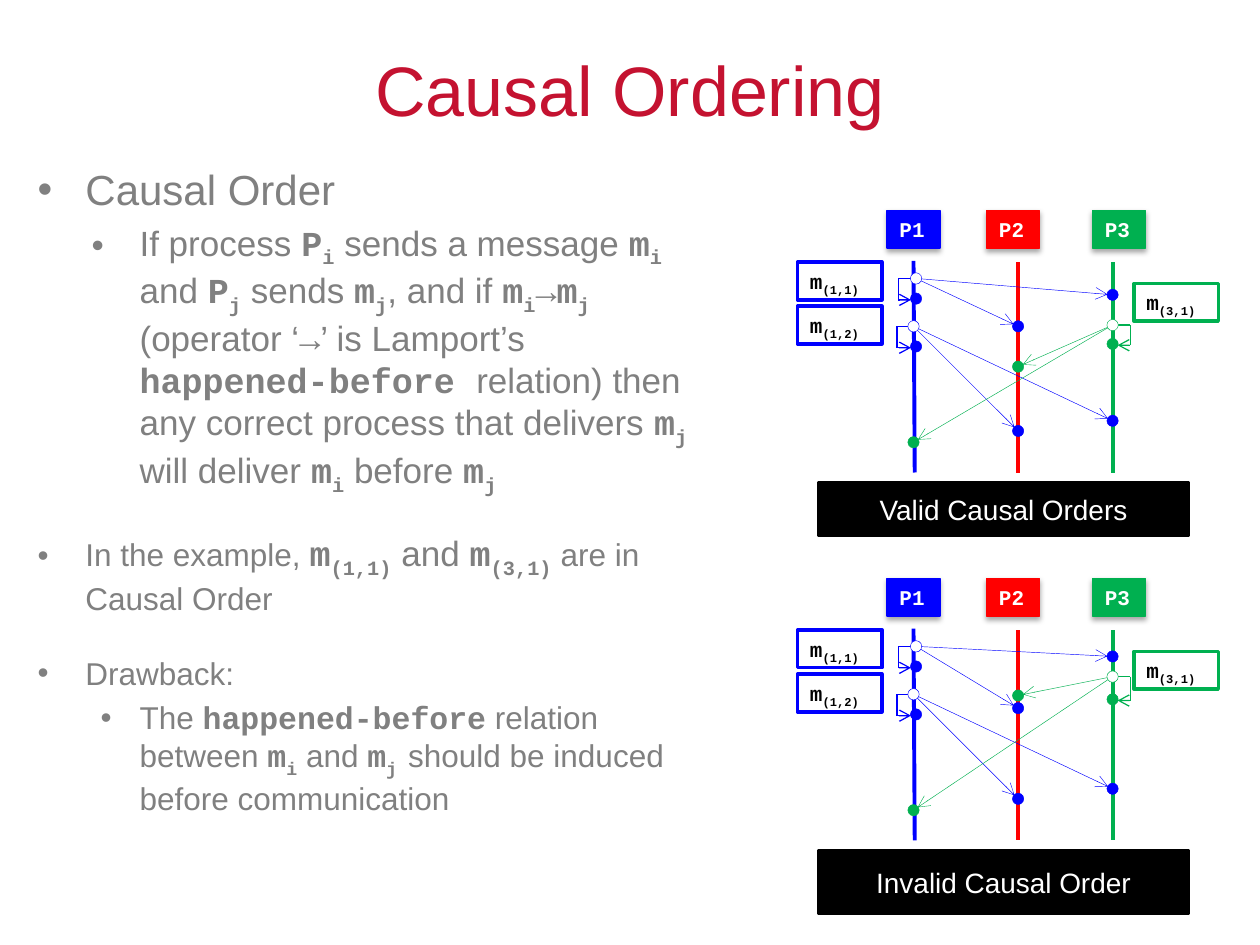
from dataclasses import dataclass
from math import hypot

from lxml.etree import SubElement
from pptx import Presentation
from pptx.dml.color import RGBColor
from pptx.enum.shapes import MSO_CONNECTOR, MSO_SHAPE
from pptx.enum.text import MSO_ANCHOR, PP_ALIGN
from pptx.oxml.ns import qn
from pptx.util import Inches, Pt

Point = tuple[float, float]


@dataclass(frozen=True)
class Theme:
    """Colours, fonts and type sizes of the slide."""
    title: str = "C41230"
    body: str = "808080"
    blue: str = "0000FF"
    red: str = "FF0000"
    green: str = "00B050"
    black: str = "000000"
    white: str = "FFFFFF"
    sans: str = "Arial"
    mono: str = "Courier New"
    title_size: int = 40
    heading_size: int = 24
    detail_size: int = 20
    text_size: int = 18
    caption_size: int = 16
    label_size: int = 12


THEME = Theme()


@dataclass(frozen=True)
class Bullet:
    """One bulleted paragraph made of sized, marked-up phrases."""
    phrases: tuple[tuple[str, int], ...]
    margin: float
    hanging: float = 0.38
    before: int = 4


@dataclass(frozen=True)
class Process:
    """A process with its header box and timeline."""
    name: str
    colour: str
    left: float
    top: Point
    bottom: Point


@dataclass(frozen=True)
class Message:
    """A message multicast to other processes and to its sender."""
    label: str
    label_at: Point
    colour: str
    send: Point
    own: Point
    loop_x: float
    targets: tuple[Point, ...]


@dataclass(frozen=True)
class Diagram:
    """A captioned set of messages shifted down the slide."""
    caption: str
    caption_height: float
    shift: float
    messages: tuple[Message, ...]


BULLETS = (
    Bullet((("Causal Order", THEME.heading_size),), 0.38),
    Bullet((("If process `P_i_` sends a message `m_i_` and `P_j_` sends `m_j_`, and if `m_i_→m_j _`"
             "(operator ‘`→`’ is Lamport’s `happened-before `relation) then any correct process that "
             "delivers `m_j_` will deliver `m_i_` before `m_j_`", THEME.detail_size),), 0.81),
    Bullet((("In the example, ", THEME.text_size), ("`m_(1,1)_` and `m_(3,1)_`", THEME.detail_size),
            (" are in Causal Order", THEME.text_size)), 0.38, before=20),
    Bullet((("Drawback:", THEME.text_size),), 0.38, before=21),
    Bullet((("The `happened-before` relation between `m_i_` and `m_j _`should be induced "
             "before communication", THEME.text_size),), 0.81, 0.31),
)
PROCESSES = (
    Process("P1", THEME.blue, 7.04, (7.25, 2.07), (7.26, 3.75)),
    Process("P2", THEME.red, 7.83, (8.08, 2.08), (8.08, 3.75)),
    Process("P3", THEME.green, 8.67, (8.83, 2.08), (8.83, 3.75)),
)


def messages(first_p2: float, first_p3: float, reply: float, reply_own: float,
             reply_p2: float) -> tuple[Message, ...]:
    """Return the three messages for the heights that vary."""
    return (
        Message("m_(1,1)_", (6.33, 2.08), THEME.blue, (7.27, 2.21), (7.27, 2.37), 7.13,
                ((8.08, first_p2), (8.83, first_p3))),
        Message("m_(1,2)_", (6.33, 2.43), THEME.blue, (7.25, 2.59), (7.27, 2.75), 7.12,
                ((8.08, 3.42), (8.83, 3.34))),
        Message("m_(3,1)_", (9, 2.25), THEME.green, (8.83, reply), (8.83, reply_own), 8.97,
                ((8.08, reply_p2), (7.25, 3.51))),
    )


DIAGRAMS = (
    Diagram("Valid Causal Orders", 0.42, 0, messages(2.59, 2.34, 2.58, 2.73, 2.91)),
    Diagram("Invalid Causal Order", 0.5, 2.92, messages(2.7, 2.29, 2.45, 2.63, 2.6)),
)


def add_span(para, text: str, size: int, colour: str, font: str, bold: bool, sub: bool) -> None:
    """Append one formatted run."""
    span = para.add_run()
    span.text = text
    for name, value in {"size": Pt(size), "name": font, "bold": bold}.items():
        setattr(span.font, name, value)
    span.font.color.rgb = RGBColor.from_string(colour)
    if sub:
        span.font._element.set("baseline", "-25000")


def write(para, text: str, size: int, colour: str, code: bool = False) -> None:
    """Write text where backticks toggle code and underscores toggle subscript."""
    for index, piece in enumerate(text.split("`")):
        mono = code or index % 2 == 1
        for level, fragment in enumerate(piece.split("_")):
            if fragment:
                add_span(para, fragment, size, colour, THEME.mono if mono else THEME.sans, mono,
                         level % 2 == 1)


def add_box(page, kind, at: tuple[float, ...], fill: str, line: str, weight: float):
    """Add a filled preset shape without shadow."""
    box = page.shapes.add_shape(kind, *map(Inches, at))
    box.shadow.inherit = False
    box.fill.solid()
    box.fill.fore_color.rgb = RGBColor.from_string(fill)
    box.line.color.rgb = RGBColor.from_string(line)
    box.line.width = Pt(weight)
    return box


def add_label(page, at: tuple[float, ...], text: str, fill: str, line: str, weight: float, colour: str,
              size: int = THEME.label_size, centred: bool = False):
    """Add a rectangle with one line of text."""
    box = add_box(page, MSO_SHAPE.RECTANGLE, at, fill, line, weight)
    box.text_frame.word_wrap = True
    box.text_frame.vertical_anchor = MSO_ANCHOR.MIDDLE if centred else MSO_ANCHOR.TOP
    para = box.text_frame.paragraphs[0]
    para.alignment = PP_ALIGN.CENTER if centred else PP_ALIGN.LEFT
    write(para, text, size, colour, code=not centred)
    return box


def add_shadow(box) -> None:
    """Give a box a soft shadow below it."""
    effects = box._element.spPr.find(qn("a:effectLst"))
    shadow = SubElement(effects, qn("a:outerShdw"), blurRad=str(Pt(3.1)), dist=str(Pt(1.8)),
                        dir="5400000", rotWithShape="0")
    tint = SubElement(shadow, qn("a:srgbClr"), val=THEME.black)
    SubElement(tint, qn("a:alpha"), val="35000")


def add_line(page, start: Point, end: Point, colour: str, weight: float, arrow: bool = False) -> None:
    """Add a straight line, optionally with an arrowhead at its end."""
    line = page.shapes.add_connector(MSO_CONNECTOR.STRAIGHT, *map(Inches, (*start, *end)))
    line.line.color.rgb = RGBColor.from_string(colour)
    line.line.width = Pt(weight)
    if arrow:
        SubElement(line.line._get_or_add_ln(), qn("a:tailEnd"), type="arrow")
    SubElement(line._element.spPr, qn("a:effectLst"))


def add_dot(page, centre: Point, fill: str, line: str, size: float = 0.09) -> None:
    """Add an event dot around its centre."""
    x, y = centre
    add_box(page, MSO_SHAPE.OVAL, (x - size / 2, y - size / 2, size, size), fill, line, 0.25)


def draw_message(page, message: Message, shift: float) -> None:
    """Draw a message label, its events and its arrows."""
    def lower(point: Point) -> Point:
        return point[0], point[1] + shift

    colour, gap = message.colour, 0.04
    send, own = lower(message.send), lower(message.own)
    add_label(page, (*lower(message.label_at), 0.67, 0.3), message.label, THEME.white, colour, 2, THEME.black)
    for target in map(lower, message.targets):
        across, down = target[0] - send[0], target[1] - send[1]
        step_x, step_y = (gap * side / hypot(across, down) for side in (across, down))
        add_line(page, (send[0] + step_x, send[1] + step_y), (target[0] - step_x, target[1] - step_y),
                 colour, 0.25, True)
        add_dot(page, target, colour, colour)
    side = gap if message.loop_x > send[0] else -gap
    corners = ((send[0] + side, send[1]), (message.loop_x, send[1]),
               (message.loop_x, own[1] + 0.01), (own[0] + side, own[1] + 0.01))
    for index, (start, end) in enumerate(zip(corners, corners[1:])):
        add_line(page, start, end, colour, 0.75, index == 2)
    add_dot(page, send, THEME.white, colour)
    add_dot(page, own, colour, colour)


def draw_diagram(page, diagram: Diagram) -> None:
    """Draw the processes, messages and caption of one diagram."""
    shift = diagram.shift
    for process in PROCESSES:
        (x1, y1), (x2, y2) = process.top, process.bottom
        add_line(page, (x1, y1 + shift), (x2, y2 + shift), process.colour, 2.25)
        add_shadow(add_label(page, (process.left, 1.67 + shift, 0.42, 0.3), process.name,
                             process.colour, process.colour, 0.75, THEME.white))
    for message in diagram.messages:
        draw_message(page, message, shift)
    add_label(page, (6.5, 3.83 + shift, 2.93, diagram.caption_height), diagram.caption, THEME.black,
              THEME.black, 2, THEME.white, THEME.caption_size, True)


def draw_text(page) -> None:
    """Fill the title and the bulleted text."""
    title = page.shapes.title
    for name, value in {"left": 0.5, "top": 0.08, "width": 9, "height": 1.25}.items():
        setattr(title, name, Inches(value))
    title.text_frame.vertical_anchor = MSO_ANCHOR.MIDDLE
    title.text_frame.paragraphs[0].alignment = PP_ALIGN.CENTER
    write(title.text_frame.paragraphs[0], "Causal Ordering", THEME.title_size, THEME.title)
    frame = page.shapes.add_textbox(*map(Inches, (0.2, 1.25, 5.63, 5.92))).text_frame
    frame.word_wrap = True
    for index, bullet in enumerate(BULLETS):
        para = frame.add_paragraph() if index else frame.paragraphs[0]
        para.space_before = Pt(bullet.before)
        settings = para._p.get_or_add_pPr()
        settings.set("marL", str(Inches(bullet.margin)))
        settings.set("indent", str(-Inches(bullet.hanging)))
        SubElement(settings, qn("a:buFont"), typeface=THEME.sans)
        SubElement(settings, qn("a:buChar"), char="•")
        for text, size in bullet.phrases:
            write(para, text, size, THEME.body)


def main() -> None:
    """Build and save the slide."""
    deck = Presentation()
    deck.slide_width, deck.slide_height = Inches(10), Inches(7.5)
    page = deck.slides.add_slide(deck.slide_layouts[5])
    draw_text(page)
    for diagram in DIAGRAMS:
        draw_diagram(page, diagram)
    deck.save("out.pptx")


main()
